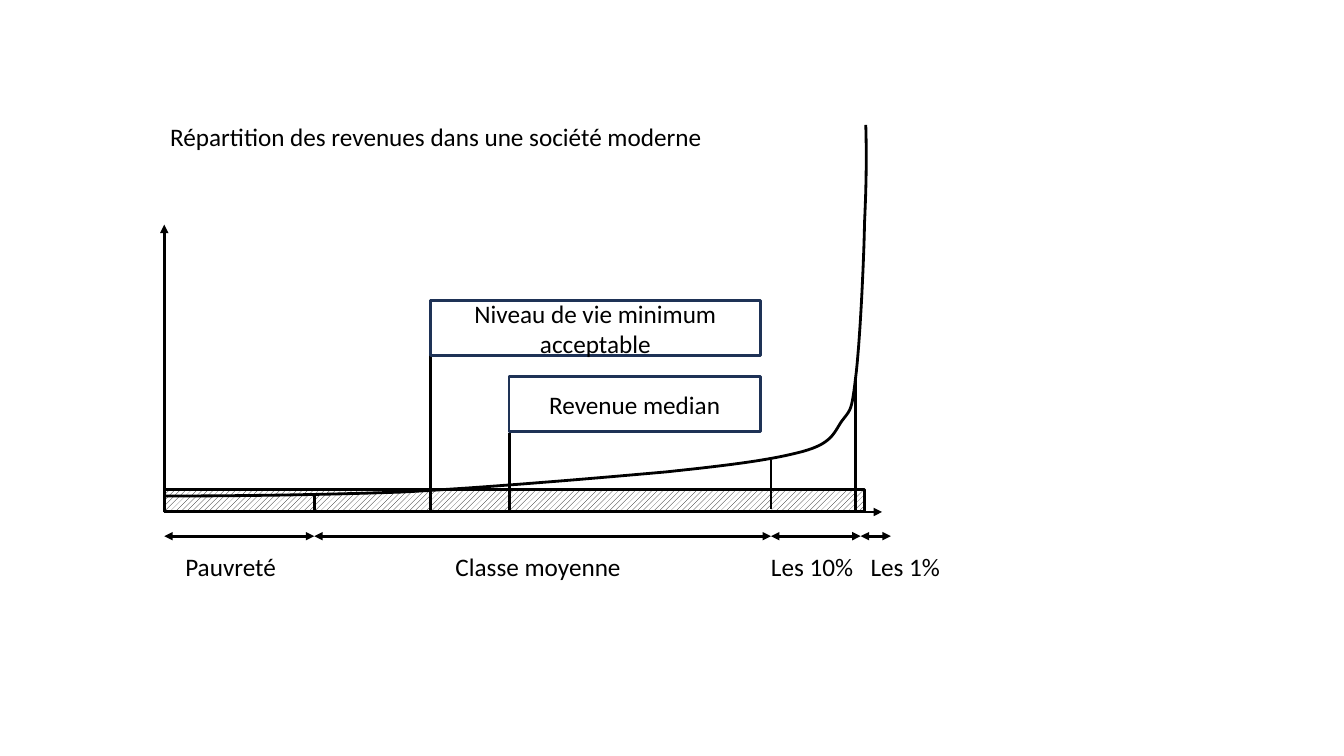
from lxml.etree import SubElement
from pptx import Presentation
from pptx.dml.color import RGBColor
from pptx.enum.dml import MSO_PATTERN
from pptx.enum.shapes import MSO_CONNECTOR, MSO_SHAPE
from pptx.enum.text import MSO_ANCHOR, MSO_AUTO_SIZE, PP_ALIGN
from pptx.oxml.ns import qn
from pptx.util import Cm, Pt

BLACK = RGBColor(0, 0, 0)
WHITE = RGBColor(255, 255, 255)
NAVY = RGBColor(0x1E, 0x32, 0x56)
LEFT, BASE, SPAN = 4.14, 12.9, 13.51
POOR, RICH, TOP = 7.92, 19.43, 21.69

deck = Presentation()
deck.slide_width, deck.slide_height = Cm(33.87), Cm(19.05)
slide = deck.slides.add_slide(deck.slide_layouts[6])
shapes = slide.shapes


def draw_line(x1, y1, x2, y2, *ends):
    line = shapes.add_connector(MSO_CONNECTOR.STRAIGHT, Cm(x1), Cm(y1), Cm(x2), Cm(y2))
    line.line.color.rgb = BLACK
    line.line.width = Pt(2)
    props = line.line._get_or_add_ln()
    for end in ends:
        SubElement(props, qn(f"a:{end}"), type="triangle")
    SubElement(line._element.spPr, qn("a:effectLst"))


def write_text(shape, text, align):
    frame = shape.text_frame
    frame.word_wrap = True
    para = frame.paragraphs[0]
    para.alignment = align
    run = para.add_run()
    run.text = text
    for name, value in {"name": "Calibri", "size": Pt(18)}.items():
        setattr(run.font, name, value)
    run.font.color.rgb = BLACK


band = shapes.add_shape(MSO_SHAPE.RECTANGLE, Cm(LEFT), Cm(12.34), Cm(17.65), Cm(0.56))
band.shadow.inherit = False
band.fill.patterned()
band.fill.pattern = MSO_PATTERN.WIDE_UPWARD_DIAGONAL
band.fill.fore_color.rgb = BLACK
band.fill.back_color.rgb = WHITE
band.line.color.rgb = BLACK
band.line.width = Pt(2)

draw_line(LEFT, 5.66, LEFT, BASE, "headEnd")
draw_line(22.23, BASE, LEFT, BASE, "headEnd")

start = (4.19, 12.5)
bends = [
    ((6.1, 12.5), (8.03, 12.47), (10.13, 12.4)),
    ((12.24, 12.29), (15.14, 12.04), (16.81, 11.89)),
    ((18.52, 11.71), (19.48, 11.58), (20.22, 11.38)),
    ((20.96, 11.18), (21.01, 10.92), (21.21, 10.62)),
    ((21.44, 10.31), (21.46, 10.39), (21.56, 9.55)),
    ((21.67, 8.71), (21.77, 6.65), (21.79, 5.59)),
    ((21.84, 4.52), (21.84, 3.84), (21.82, 3.15)),
]
STEPS = 16
points = []
last = start
for bend in bends:
    knots = (last, *bend)
    for step in range(1, STEPS + 1):
        t = step / STEPS
        weights = ((1 - t) ** 3, 3 * t * (1 - t) ** 2, 3 * t * t * (1 - t), t ** 3)
        x, y = (sum(w * k[axis] for w, k in zip(weights, knots)) for axis in (0, 1))
        points.append((Cm(x), Cm(y)))
    last = bend[-1]
path = shapes.build_freeform(Cm(start[0]), Cm(start[1]))
path.add_line_segments(points, close=False)
curve = path.convert_to_shape()
curve.shadow.inherit = False
curve.fill.background()
curve.line.color.rgb = BLACK
curve.line.width = Pt(2)

for x, top, foot in [
    (POOR, 12.5, BASE),
    (10.85, 8.94, BASE),
    (12.85, 10.92, BASE),
    (RICH, 11.58, 12.83),
    (21.56, 9.55, BASE),
]:
    draw_line(x, top, x, foot)

limits = [LEFT, POOR, RICH, TOP, 22.45]
for left, right in zip(limits, limits[1:]):
    draw_line(right, SPAN, left, SPAN, "headEnd", "tailEnd")

for text, left, top, width in [
    ("Répartition des revenues dans une société moderne", 4.04, 2.92, 15.39),
    ("Pauvreté", 4.42, 13.77, 4.45),
    ("Classe moyenne", 11.23, 13.77, 5.33),
    ("Les 10%", 19.18, 13.77, 2.79),
    ("Les 1%", 21.69, 13.77, 2.57),
]:
    label = shapes.add_textbox(Cm(left), Cm(top), Cm(width), Cm(1.02))
    write_text(label, text, PP_ALIGN.LEFT)
    label.text_frame.auto_size = MSO_AUTO_SIZE.SHAPE_TO_FIT_TEXT

EDGE = 19.16
for text, left, top in [
    ("Niveau de vie minimum acceptable", 10.85, 7.57),
    ("Revenue median", 12.83, 9.48),
]:
    box = shapes.add_shape(MSO_SHAPE.RECTANGLE, Cm(left), Cm(top), Cm(EDGE - left), Cm(1.4))
    box.shadow.inherit = False
    box.fill.background()
    box.line.color.rgb = NAVY
    box.line.width = Pt(2)
    write_text(box, text, PP_ALIGN.CENTER)
    box.text_frame.vertical_anchor = MSO_ANCHOR.MIDDLE

deck.save("out.pptx")
